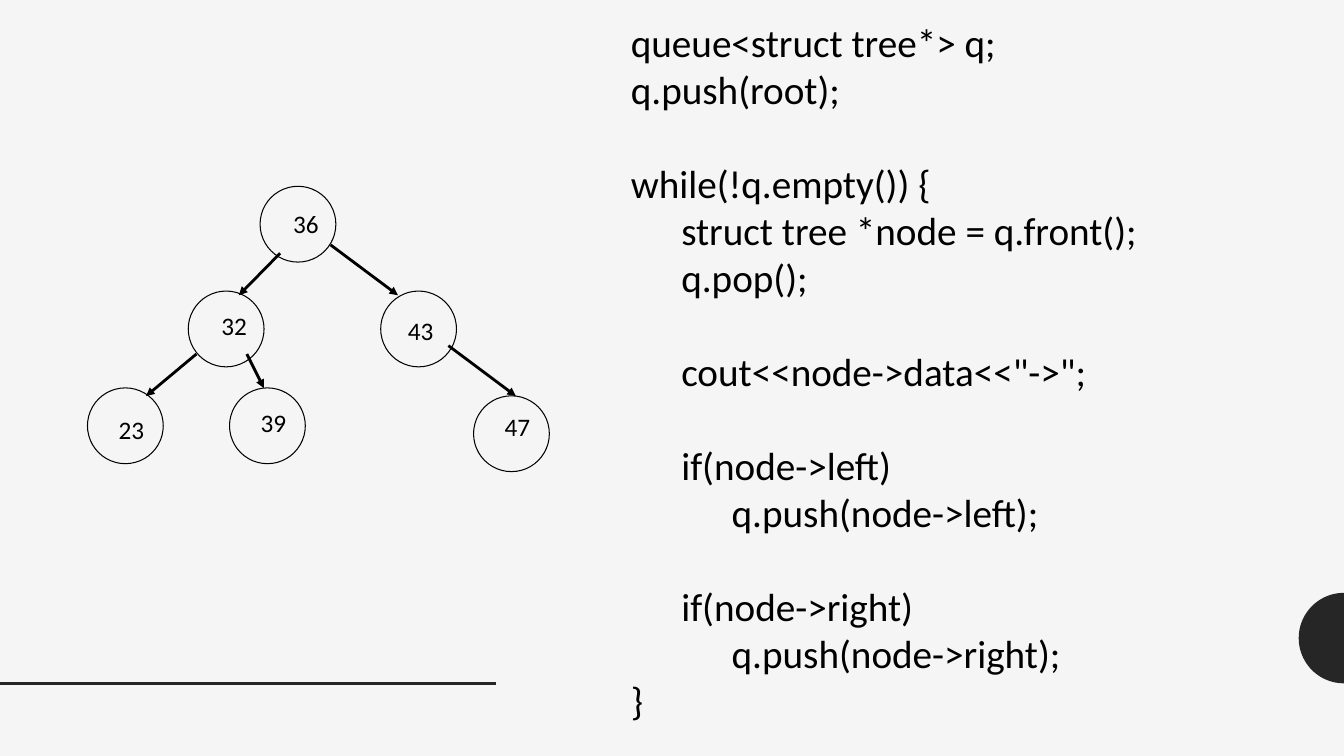
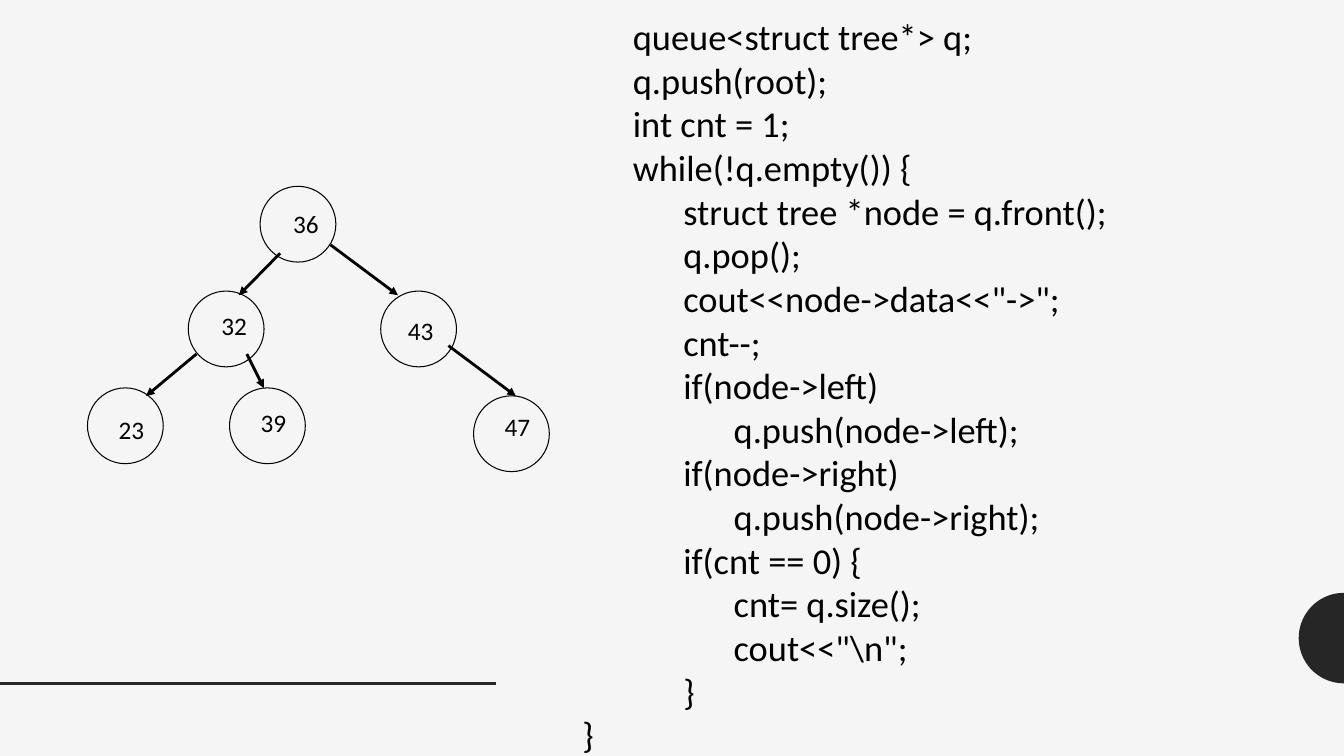
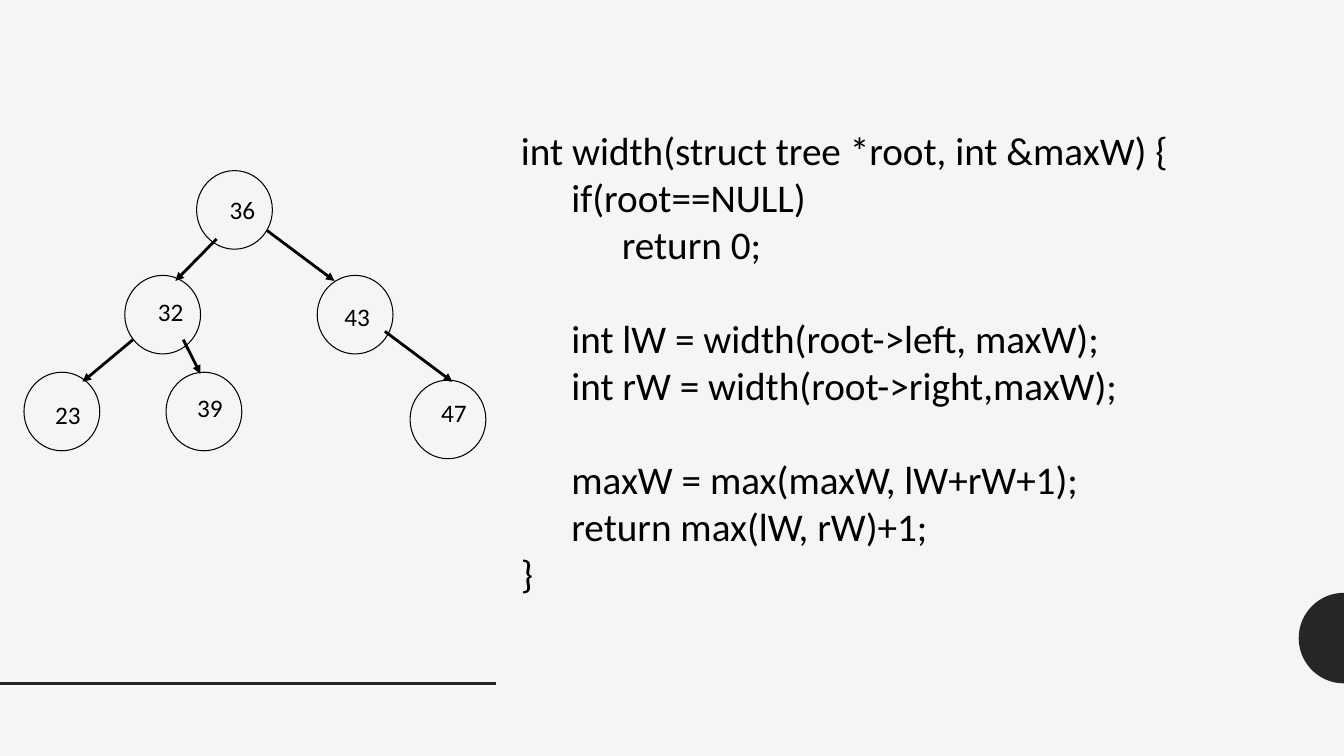
"""Build three slides that pair a binary tree with code that walks it."""
from dataclasses import dataclass
from math import cos, pi, sin

from lxml.etree import SubElement
from pptx import Presentation
from pptx.dml.color import RGBColor
from pptx.enum.shapes import MSO_CONNECTOR as Connector, MSO_SHAPE as Preset
from pptx.oxml.ns import qn
from pptx.util import Cm, Pt


@dataclass(frozen=True)
class Theme:
    paper: RGBColor = RGBColor(0xF5, 0xF5, 0xF5)
    accent: RGBColor = RGBColor(0x26, 0x26, 0x26)
    ink: RGBColor = RGBColor(0, 0, 0)
    font: str = "Calibri"
    label_size: float = 18
    code_size: float = 28
    dense_code_size: float = 26
    outline: float = 0.75
    stroke: float = 2
    line_pitch: float = 1.2


THEME = Theme()
SLIDE_WIDTH, SLIDE_HEIGHT = 33.87, 19.05
INDENT = 1.27
SOURCE_INDENT = 4
NODE_SIZE = 1.91
LABEL_WIDTH, LABEL_HEIGHT = 1.27, 1.02

NODES = [
    ("36", (7.51, 5.65), (7.14, 5.13)),
    ("32", (5.7, 8.29), (5.33, 7.7)),
    ("43", (10.55, 8.29), (10.03, 7.82)),
    ("23", (3.16, 10.73), (2.74, 10.31)),
    ("39", (6.74, 10.73), (6.32, 10.13)),
    ("47", (12.89, 10.93), (12.47, 10.24)),
]
BRANCHES = [
    ((7.06, 6.38), (6.02, 7.44)),
    ((8.33, 6.17), (10.03, 7.44)),
    ((4.95, 8.92), (3.68, 9.98)),
    ((6.22, 8.92), (6.65, 9.78)),
    ((11.3, 8.71), (13, 9.98)),
]

LEVEL_ORDER = """\
    queue<struct tree*> q;
    q.push(root);

    while(!q.empty()) {
        struct tree *node = q.front();
        q.pop();

        cout<<node->data<<"->";

        if(node->left)
            q.push(node->left);

        if(node->right)
            q.push(node->right);
    }"""

LINE_BY_LINE = """\
    queue<struct tree*> q;
    q.push(root);
    int cnt = 1;
    while(!q.empty()) {
        struct tree *node = q.front();
        q.pop();
        cout<<node->data<<"->";
        cnt--;
        if(node->left)
            q.push(node->left);
        if(node->right)
            q.push(node->right);
        if(cnt == 0) {
            cnt= q.size();
            cout<<"\\n";
        }
}"""

TREE_WIDTH = """\
int width(struct tree *root, int &maxW) {
    if(root==NULL)
        return 0;

    int lW = width(root->left, maxW);
    int rW = width(root->right,maxW);

    maxW = max(maxW, lW+rW+1);
    return max(lW, rW)+1;
}"""


def add_run(paragraph, text, size):
    run = paragraph.add_run()
    run.text = text
    run.font.name = THEME.font
    run.font.size = Pt(size)
    run.font.color.rgb = THEME.ink


def add_text_frame(slide, left, top, width, height):
    frame = slide.shapes.add_textbox(Cm(left), Cm(top), Cm(width), Cm(height)).text_frame
    frame.word_wrap = True
    return frame


def add_stroke(slide, start, end, color, arrow=False):
    stroke = slide.shapes.add_connector(
        Connector.STRAIGHT, *(Cm(length) for length in (*start, *end)))
    stroke.line.color.rgb = color
    stroke.line.width = Pt(THEME.stroke)
    if arrow:
        SubElement(stroke.line._get_or_add_ln(), qn("a:tailEnd"), type="triangle")
    SubElement(stroke._element.spPr, qn("a:effectLst"))
    return stroke


def add_half_disc(slide, center_y, radius, steps=48):
    angles = [pi / 2 + pi * step / steps for step in range(steps + 1)]
    rim = [(Cm(SLIDE_WIDTH + radius * cos(angle)), Cm(center_y + radius * sin(angle)))
           for angle in angles]
    outline = slide.shapes.build_freeform(*rim[0])
    outline.add_line_segments(rim[1:], close=True)
    disc = outline.convert_to_shape()
    disc.shadow.inherit = False
    disc.fill.solid()
    disc.fill.fore_color.rgb = THEME.accent
    disc.line.fill.background()
    return disc


def decorate_master(master, slide):
    master.background.fill.solid()
    master.background.fill.fore_color.rgb = THEME.paper
    half_disc = add_half_disc(slide, center_y=16.08, radius=1.14)
    rule = add_stroke(slide, (0, 17.22), (12.5, 17.22), THEME.accent)
    for decoration in (half_disc, rule):
        master.shapes.element.append(decoration._element)


def add_node(slide, center, height):
    x, y = center
    node = slide.shapes.add_shape(
        Preset.OVAL, Cm(x - NODE_SIZE / 2), Cm(y - height / 2), Cm(NODE_SIZE), Cm(height))
    node.shadow.inherit = False
    node.fill.background()
    node.line.color.rgb = THEME.ink
    node.line.width = Pt(THEME.outline)


def add_tree(slide, shift=(0, 0), node_height=NODE_SIZE):
    def moved(point):
        return point[0] + shift[0], point[1] + shift[1]

    for _, center, _ in NODES:
        add_node(slide, moved(center), node_height)
    for start, end in BRANCHES:
        add_stroke(slide, moved(start), moved(end), THEME.ink, arrow=True)
    for value, _, corner in NODES:
        label = add_text_frame(slide, *moved(corner), LABEL_WIDTH, LABEL_HEIGHT)
        add_run(label.paragraphs[0], value, THEME.label_size)


def add_code(slide, code, area, size):
    frame = add_text_frame(slide, *area)
    paragraph = frame.paragraphs[0]
    gap = 0
    for number, line in enumerate(code.splitlines()):
        statement = line.lstrip()
        if not statement:
            gap += size * THEME.line_pitch
            continue
        if number:
            paragraph = frame.add_paragraph()
        level = (len(line) - len(statement)) // SOURCE_INDENT
        paragraph._p.get_or_add_pPr().set("marL", str(Cm(INDENT * level)))
        paragraph.space_before = Pt(gap)
        add_run(paragraph, statement, size)
        gap = 0


def main():
    deck = Presentation()
    deck.slide_width, deck.slide_height = Cm(SLIDE_WIDTH), Cm(SLIDE_HEIGHT)
    blank = deck.slide_layouts[6]
    level_order, line_by_line, tree_width = (deck.slides.add_slide(blank) for _ in range(3))
    decorate_master(deck.slide_master, level_order)

    add_code(level_order, LEVEL_ORDER, (14.38, 0.33, 19.43, 18.21), THEME.code_size)
    add_tree(level_order)

    add_code(line_by_line, LINE_BY_LINE, (14.43, 0.23, 19.43, 19.15), THEME.dense_code_size)
    add_tree(line_by_line)

    add_tree(tree_width, shift=(-1.6, -0.36), node_height=1.98)
    add_code(tree_width, TREE_WIDTH, (12.88, 3.05, 16.94, 13.41), THEME.code_size)

    deck.save("out.pptx")


main()
